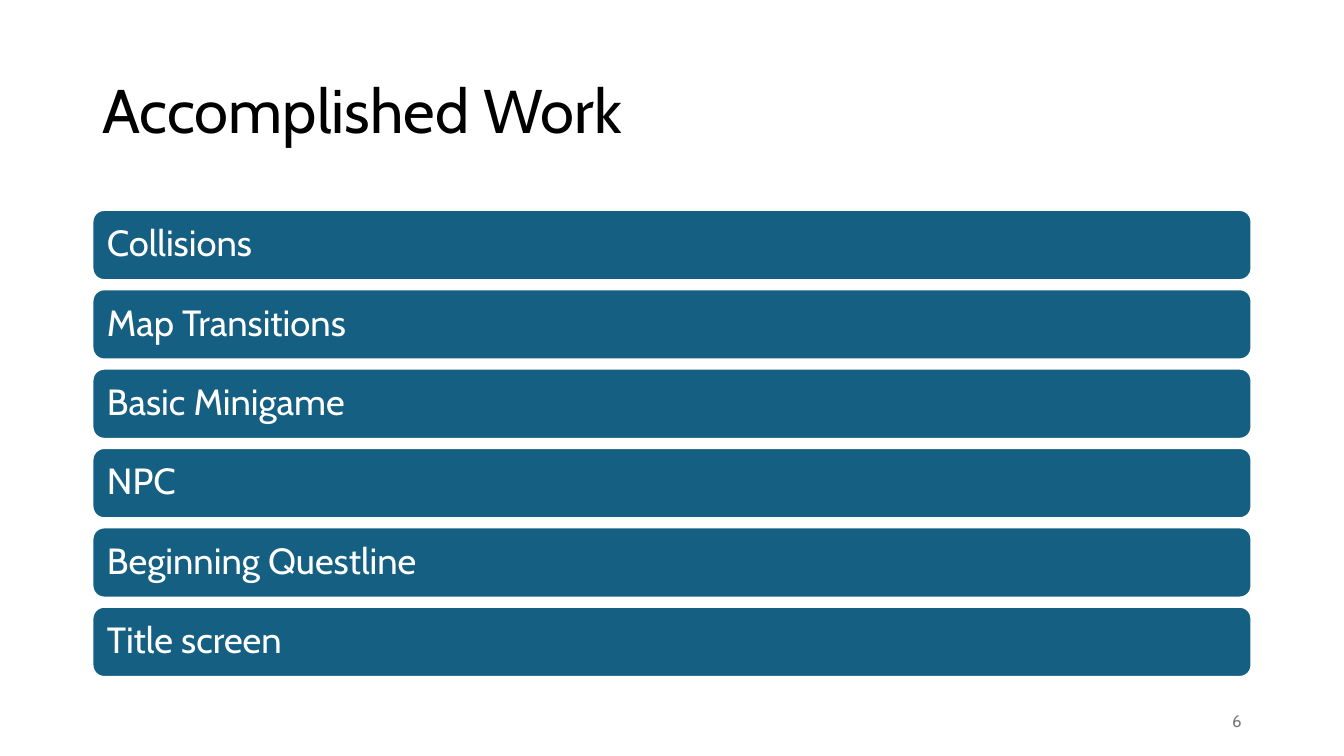
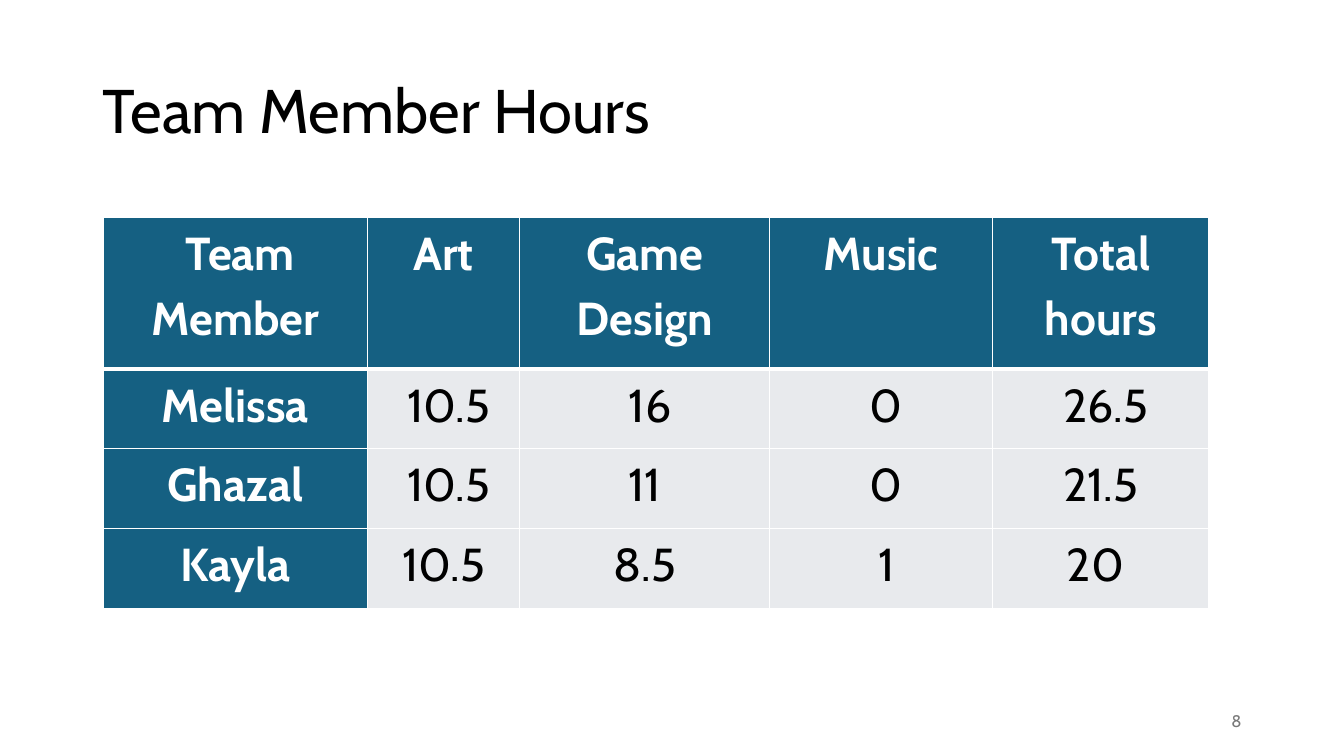
from dataclasses import dataclass

from lxml.etree import SubElement
from pptx import Presentation
from pptx.dml.color import RGBColor
from pptx.enum.shapes import MSO_SHAPE
from pptx.enum.text import MSO_ANCHOR as ANCHOR, MSO_AUTO_SIZE as FIT, PP_ALIGN as ALIGN
from pptx.oxml.ns import qn
from pptx.util import Cm, Pt

# Shared look
FONT = "Cabin"
BLUE, GREY, WHITE, BLACK, MUTED = "156082", "E8EAED", "FFFFFF", "000000", "797979"
LEFT, WIDTH = 2.33, 29.21


@dataclass
class Box:
    left: float
    top: float
    width: float
    height: float

    def lengths(self) -> tuple:
        return Cm(self.left), Cm(self.top), Cm(self.width), Cm(self.height)


@dataclass
class Column:
    width: float
    heading: str
    values: tuple


TITLE_BOX = Box(LEFT, 1.01, WIDTH, 3.68)
NUMBER_BOX = Box(23.92, 17.66, 7.62, 1.01)

# Slide content; a no-break space nudges some centred entries
TASKS = ("Collisions", "Map Transitions", "Basic Minigame", "NPC",
         "Beginning Questline", "Title screen")
COLUMNS = (
    Column(6.66, " Team Member", ("Melissa", "Ghazal", "Kayla")),
    Column(3.84, "Art", (" 10.5", " 10.5", "10.5")),
    Column(6.3, "Game Design", (" 16", "11", "8.5")),
    Column(5.61, "Music", (" 0", " 0", " 1")),
    Column(5.46, "Total hours", (" 26.5", "21.5", "20 ")),
)


def rgb(value: str) -> RGBColor:
    return RGBColor.from_string(value)


def write(tf, text: str, *, size: float, color: str = BLACK, bold: bool = False,
          align=ALIGN.LEFT, spacing: float = 1.0, after: float = 0) -> None:
    """Put one formatted paragraph into a text frame."""
    p = tf.paragraphs[0]
    p.alignment = align
    p.line_spacing = spacing
    p.space_before, p.space_after = Pt(0), Pt(after)
    r = p.add_run()
    r.text = text
    r.font.name, r.font.size, r.font.bold = FONT, Pt(size), bold
    r.font.color.rgb = rgb(color)


def add_base_slide(prs, title: str, number: int):
    """Add a slide with the shared title and page number."""
    s = prs.slides.add_slide(prs.slide_layouts[5])
    sp = s.shapes.title
    sp.left, sp.top, sp.width, sp.height = TITLE_BOX.lengths()
    tf = sp.text_frame
    tf.auto_size = FIT.NONE
    tf.vertical_anchor = ANCHOR.MIDDLE
    write(tf, title, size=44, spacing=0.9)

    tf = s.shapes.add_textbox(*NUMBER_BOX.lengths()).text_frame
    tf.word_wrap = True
    tf.vertical_anchor = ANCHOR.MIDDLE
    write(tf, str(number), size=12, color=MUTED, align=ALIGN.RIGHT)
    return s


def add_bar(s, text: str, box: Box) -> None:
    sp = s.shapes.add_shape(MSO_SHAPE.ROUNDED_RECTANGLE, *box.lengths())
    sp.shadow.inherit = False
    sp.fill.solid()
    sp.fill.fore_color.rgb = rgb(BLUE)
    sp.line.color.rgb = rgb(WHITE)
    sp.line.width = Pt(1.5)
    tf = sp.text_frame
    tf.word_wrap = True
    tf.vertical_anchor = ANCHOR.MIDDLE
    tf.margin_left = tf.margin_right = tf.margin_top = tf.margin_bottom = Cm(0.28)
    write(tf, text, size=26, color=WHITE, spacing=0.9)


def set_borders(cell, widths: dict[str, float]) -> None:
    """Draw white borders; they must precede the fill in the cell XML."""
    tc_pr = cell._tc.get_or_add_tcPr()
    for i, (side, width) in enumerate(widths.items()):
        ln = SubElement(tc_pr, qn(f"a:ln{side}"), w=str(Pt(width)))
        SubElement(SubElement(ln, qn("a:solidFill")), qn("a:srgbClr"), val=WHITE)
        tc_pr.insert(i, ln)


def fill_cell(cell, text: str, row: int, col: int) -> None:
    is_heading = row == 0 or col == 0
    cell.margin_left = cell.margin_right = Cm(0.54)
    cell.margin_top = cell.margin_bottom = Cm(0)
    cell.vertical_anchor = ANCHOR.TOP
    cell.fill.solid()
    cell.fill.fore_color.rgb = rgb(BLUE if is_heading else GREY)
    set_borders(cell, {"L": 1, "R": 1, "T": 3 if row == 1 else 1, "B": 3 if row == 0 else 1})
    write(cell.text_frame, text, size=33, color=WHITE if is_heading else BLACK,
          bold=is_heading, align=ALIGN.CENTER, spacing=1.15, after=8)


def add_hours_table(s, columns: tuple[Column, ...]) -> None:
    heights = [3.81] + [2.01] * len(columns[0].values)
    box = Box(2.6, 5.49, sum(c.width for c in columns), sum(heights))
    table = s.shapes.add_table(len(heights), len(columns), *box.lengths()).table
    table.first_col = True
    table.horz_banding = False
    for row, height in zip(table.rows, heights):
        row.height = Cm(height)
    for j, column in enumerate(columns):
        table.columns[j].width = Cm(column.width)
        for i, text in enumerate((column.heading, *column.values)):
            fill_cell(table.cell(i, j), text, i, j)


def main() -> None:
    prs = Presentation()
    prs.slide_width, prs.slide_height = Cm(33.87), Cm(19.05)

    # Finished tasks as a stack of bars
    s = add_base_slide(prs, "Accomplished Work", 6)
    for i, task in enumerate(TASKS):
        add_bar(s, task, Box(LEFT, 5.29 + i * 2, WIDTH, 1.77))

    # Hours per person
    s = add_base_slide(prs, "Team Member Hours", 8)
    add_hours_table(s, COLUMNS)

    prs.save("out.pptx")


if __name__ == "__main__":
    main()
